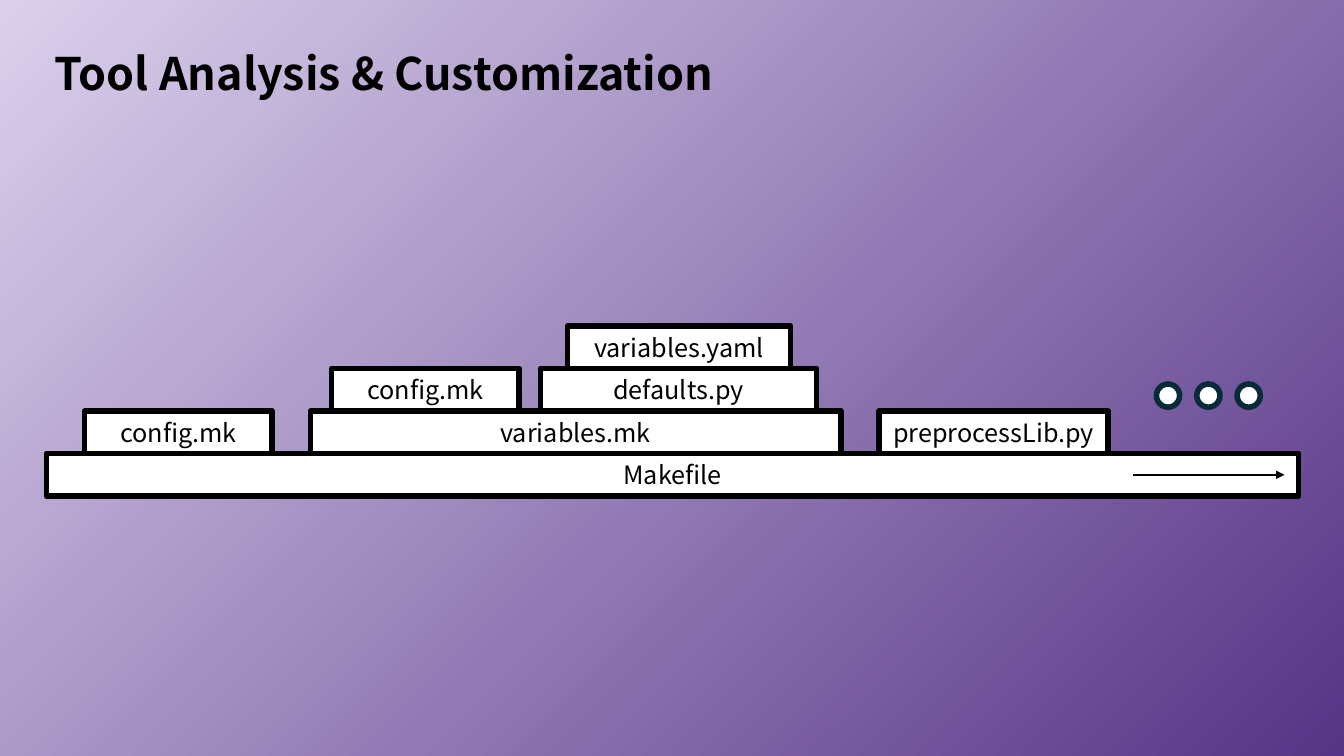
from dataclasses import dataclass

from lxml.etree import SubElement
from pptx import Presentation
from pptx.dml.color import RGBColor
from pptx.enum.shapes import MSO_CONNECTOR, MSO_SHAPE
from pptx.enum.text import MSO_ANCHOR, MSO_AUTO_SIZE, PP_ALIGN
from pptx.oxml.ns import qn
from pptx.shapes.autoshape import Shape
from pptx.slide import Slide
from pptx.text.text import TextFrame
from pptx.util import Emu, Inches, Pt

COL, ROW = Inches(0.1), Inches(0.422)
BASE = Inches(4.5)
FONT = "Noto Sans CJK KR"
BLACK, WHITE, NAVY = "000000", "FFFFFF", "092A39"
FRAME = {"word_wrap": False, "auto_size": MSO_AUTO_SIZE.NONE,
         "vertical_anchor": MSO_ANCHOR.MIDDLE, "margin_top": 0, "margin_bottom": 0}


@dataclass
class Block:
    """A file in the stack: its level above the base, first column and width in columns."""
    name: str
    level: int
    col: float
    cols: float


BLOCKS = [
    Block("Makefile", 0, 4.6, 124.2),
    Block("config.mk", 1, 8.4, 18.6),
    Block("variables.mk", 1, 30.8, 52.6),
    Block("preprocessLib.py", 1, 87.2, 22.7),
    Block("config.mk", 2, 32.9, 18.6),
    Block("defaults.py", 2, 53.6, 27.4),
    Block("variables.yaml", 3, 56.3, 22.1),
]


def rgb(value: str) -> RGBColor:
    """Turn a hex string into a colour."""
    return RGBColor.from_string(value)


def cols(count: float) -> Emu:
    """Return the length of a number of columns."""
    return Emu(round(count * COL))


def apply(target: object, formats: dict) -> None:
    """Set every attribute named in the format values."""
    for name, value in formats.items():
        setattr(target, name, value)


def write(tf: TextFrame, text: str, size: int, bold: bool, align: PP_ALIGN) -> None:
    """Write one formatted line into a text frame."""
    apply(tf, FRAME)
    p = tf.paragraphs[0]
    p.alignment = align
    r = p.add_run()
    r.text = text
    apply(r.font, {"name": FONT, "size": Pt(size), "bold": bold})
    r.font.color.rgb = rgb(BLACK)


def add_outlined(s: Slide, kind: MSO_SHAPE, box: tuple, line: str) -> Shape:
    """Add a white shape with a thick, round-jointed outline."""
    sp = s.shapes.add_shape(kind, *box)
    sp.shadow.inherit = False
    sp.fill.solid()
    sp.fill.fore_color.rgb = rgb(WHITE)
    sp.line.color.rgb = rgb(line)
    sp.line.width = Pt(4)
    SubElement(sp.line._get_or_add_ln(), qn("a:round"))
    return sp


def add_block(s: Slide, block: Block) -> None:
    """Draw one labelled file block at its level."""
    box = cols(block.col), BASE - block.level * ROW, cols(block.cols), ROW
    sp = add_outlined(s, MSO_SHAPE.RECTANGLE, box, BLACK)
    write(sp.text_frame, block.name, 18, False, PP_ALIGN.CENTER)


def add_arrow(s: Slide, start: float, end: float, y: int) -> None:
    """Draw a horizontal arrow between two columns."""
    cx = s.shapes.add_connector(MSO_CONNECTOR.STRAIGHT, cols(start), y, cols(end), y)
    cx.line.color.rgb = rgb(BLACK)
    cx.line.width = Pt(1.5)
    SubElement(cx.line._get_or_add_ln(), qn("a:tailEnd"), type="triangle")
    SubElement(cx._element.spPr, qn("a:effectLst"))


def set_background(s: Slide) -> None:
    """Fill the background with a diagonal purple gradient."""
    fill = s.background.fill
    fill.gradient()
    fill.gradient_angle = 135
    for stop, color in zip(fill.gradient_stops, ("563586", "DBD0EC")):
        stop.color.rgb = rgb(color)


def main() -> None:
    """Build and save the slide."""
    prs = Presentation()
    apply(prs, {"slide_width": Inches(13.33), "slide_height": Inches(7.5)})
    s = prs.slides.add_slide(prs.slide_layouts[5])
    set_background(s)
    title = s.shapes.title
    apply(title, {"left": cols(4.4), "top": Inches(0.4),
                  "width": cols(69.9), "height": Inches(0.64)})
    write(title.text_frame, "Tool Analysis & Customization", 32, True, PP_ALIGN.LEFT)
    for block in BLOCKS:
        add_block(s, block)
    add_arrow(s, 112.4, 127.4, BASE + ROW // 2)
    for i in range(3):
        box = cols(114.7 + 4 * i), Inches(3.81), cols(2.3), cols(2.3)
        add_outlined(s, MSO_SHAPE.OVAL, box, NAVY)
    prs.save("out.pptx")


if __name__ == "__main__":
    main()
